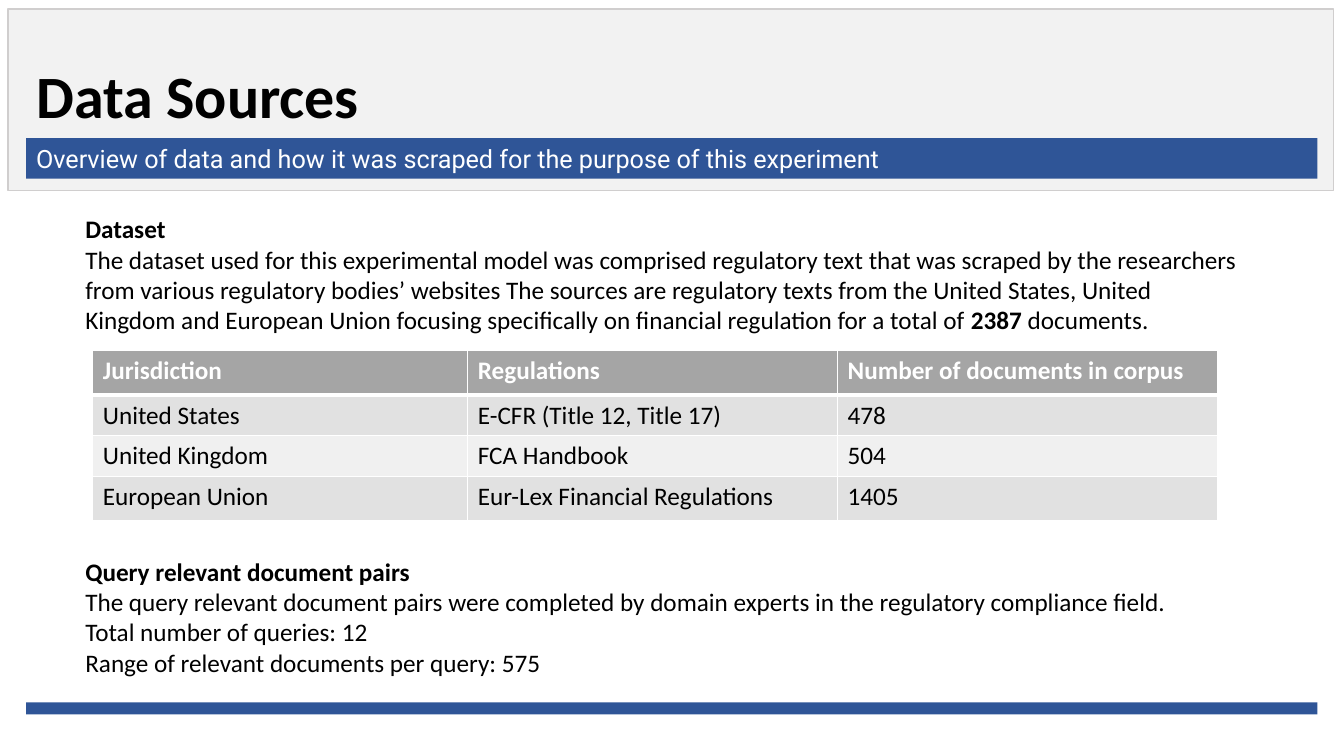
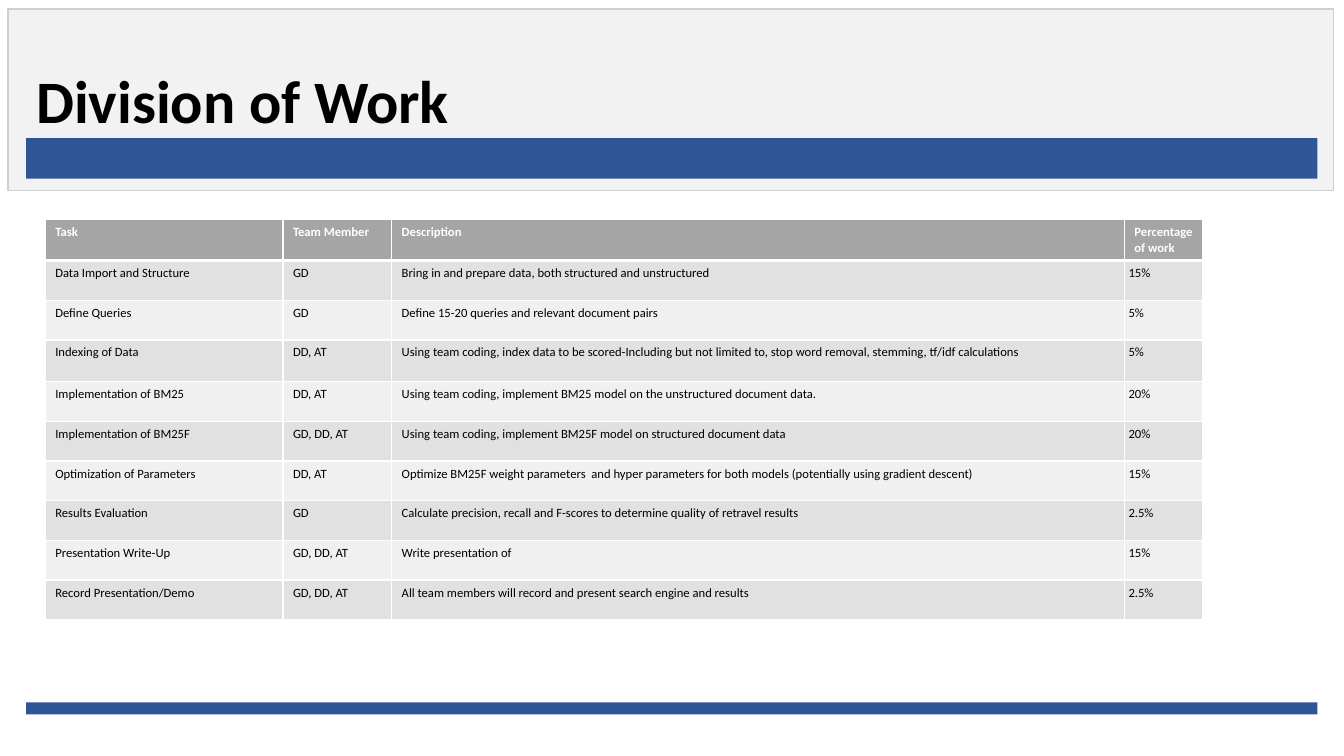
"""Build two slides on the data sources and the division of work."""
from typing import NamedTuple

from lxml.etree import SubElement
from pptx import Presentation
from pptx.dml.color import RGBColor
from pptx.enum.shapes import MSO_SHAPE
from pptx.enum.text import MSO_ANCHOR, MSO_AUTO_SIZE, PP_ALIGN
from pptx.oxml.ns import qn
from pptx.util import Cm, Pt

HUES = {
    "black": "000000",
    "white": "FFFFFF",
    "blue": "2F5597",
    "panel": "F2F2F2",
    "edge": "D0CECE",
    "head": "A5A5A5",
    "odd": "E1E1E1",
    "even": "F0F0F0",
}


class Box(NamedTuple):
    left: float
    top: float
    width: float
    height: float

    def cm(self) -> tuple:
        return tuple(Cm(side) for side in self)


class Style(NamedTuple):
    size: float
    hue: str = "black"
    bold: bool = False
    font: str = "Calibri"


class Head(NamedTuple):
    title: str
    size: float
    space: float
    note: str = ""


class Grid(NamedTuple):
    left: float
    top: float
    cols: list
    rows: list
    size: float
    cells: list
    tight: bool = False


PANEL = Box(0.2, 0.23, 33.4, 4.57)
FOOT = Box(0.66, 17.7, 32.54, 0.3)
BAND = Box(0.66, 3.48, 32.54, 1.02)
TITLE = Box(0.66, 1.47, 32.54, 2.06)

BODY = Style(18)
BOLD = Style(18, bold=True)
NOTE = Style(18, "white", font="Roboto")

DATA = Box(1.9, 5.26, 29.69, 3.33)
DATA_TEXT = [
    [("Dataset", BOLD)],
    [
        ("The dataset used for this experimental model was comprised regulatory text "
         "that was scraped by the researchers from various regulatory bodies’ websites "
         "The sources are regulatory texts from the United States, United Kingdom and "
         "European Union focusing specifically on financial regulation for a total of ", BODY),
        ("2387 ", BOLD),
        ("documents.", BODY),
    ],
]
PAIRS = Box(1.9, 13.89, 29.69, 3.33)
PAIRS_TEXT = [
    [("Query relevant document pairs", BOLD)],
    [("The query relevant document pairs were completed by domain experts "
      "in the regulatory compliance field.", BODY)],
    [("Total number of queries: 12", BODY)],
    [("Range of relevant documents per query: 575", BODY)],
]

SOURCES = Grid(
    2.34, 8.84, [9.45, 9.32, 9.58], [1.12, 1.02, 1.02, 1.12], 18,
    [
        ("Jurisdiction", "Regulations", "Number of documents in corpus"),
        ("United States", "E-CFR (Title 12, Title 17)", "478"),
        ("United Kingdom", "FCA Handbook", "504"),
        ("European Union", "Eur-Lex Financial Regulations", "1405"),
    ],
)
TASKS = Grid(
    1.14, 5.54, [5.99, 2.74, 18.47, 1.96], [1.0] * 3 + [1.05] + [1.0] * 6, 9,
    [
        ("Task", "Team Member", "Description", "Percentage of work"),
        ("Data Import and Structure", "GD",
         "Bring in and prepare data, both structured and unstructured", "15%"),
        ("Define Queries", "GD", "Define 15-20 queries and relevant document pairs", "5%"),
        ("Indexing of Data", "DD, AT",
         "Using team coding, index data to be scored-Including but not limited to, "
         "stop word removal, stemming, tf/idf calculations", "5%"),
        ("Implementation of BM25", "DD, AT",
         "Using team coding, implement BM25 model on the unstructured document data.", "20%"),
        ("Implementation of BM25F", "GD, DD, AT",
         "Using team coding, implement BM25F model on structured document data", "20%"),
        ("Optimization of Parameters", "DD, AT",
         "Optimize BM25F weight parameters  and hyper parameters for both models "
         "(potentially using gradient descent)", "15%"),
        ("Results Evaluation", "GD",
         "Calculate precision, recall and F-scores to determine quality of retravel results",
         "2.5%"),
        ("Presentation Write-Up", "GD, DD, AT", "Write presentation of", "15%"),
        ("Record Presentation/Demo", "GD, DD, AT",
         "All team members will record and present search engine and results", "2.5%"),
    ],
    tight=True,
)


def tint(name: str) -> RGBColor:
    return RGBColor.from_string(HUES[name])


def add_run(para, text: str, style: Style) -> None:
    run = para.add_run()
    run.text = text
    run.font.name = style.font
    run.font.size = Pt(style.size)
    run.font.bold = style.bold
    run.font.color.rgb = tint(style.hue)


def add_block(slide, box: Box, hue: str, edge: str = ""):
    shape = slide.shapes.add_shape(MSO_SHAPE.RECTANGLE, *box.cm())
    shape.shadow.inherit = False
    shape.fill.solid()
    shape.fill.fore_color.rgb = tint(hue)
    if edge:
        shape.line.color.rgb = tint(edge)
        shape.line.width = Pt(1)
    else:
        shape.line.fill.background()
    return shape


def add_slide(deck, head: Head):
    slide = deck.slides.add_slide(deck.slide_layouts.get_by_name("Title Only"))
    add_block(slide, PANEL, "panel", "edge")
    add_block(slide, FOOT, "blue")
    band = add_block(slide, BAND, "blue")
    if head.note:
        frame = band.text_frame
        frame.vertical_anchor = MSO_ANCHOR.MIDDLE
        frame.paragraphs[0].alignment = PP_ALIGN.LEFT
        add_run(frame.paragraphs[0], head.note, NOTE)
    title = slide.shapes.title
    slide.shapes.element.append(title.element)
    title.left, title.top, title.width, title.height = TITLE.cm()
    frame = title.text_frame
    frame.auto_size = MSO_AUTO_SIZE.NONE
    frame.vertical_anchor = MSO_ANCHOR.MIDDLE
    para = frame.paragraphs[0]
    para.alignment = PP_ALIGN.LEFT
    para.line_spacing = head.space
    add_run(para, head.title, Style(head.size, bold=True))
    return slide


def add_text(slide, box: Box, paras: list) -> None:
    frame = slide.shapes.add_textbox(*box.cm()).text_frame
    frame.word_wrap = True
    for at, runs in enumerate(paras):
        para = frame.add_paragraph() if at else frame.paragraphs[0]
        for text, style in runs:
            add_run(para, text, style)


def add_edges(cell, row: int) -> None:
    props = cell._tc.get_or_add_tcPr()
    thick = {"lnT": 3 if row == 1 else 1, "lnB": 3 if row == 0 else 1}
    for side in ("lnL", "lnR", "lnT", "lnB"):
        line = SubElement(props, qn(f"a:{side}"), w=str(Pt(thick.get(side, 1))))
        fill = SubElement(line, qn("a:solidFill"))
        SubElement(fill, qn("a:srgbClr"), val=HUES["white"])


def add_grid(slide, grid: Grid) -> None:
    box = Box(grid.left, grid.top, sum(grid.cols), sum(grid.rows))
    table = slide.shapes.add_table(len(grid.rows), len(grid.cols), *box.cm()).table
    table.horz_banding = False
    for col, width in zip(table.columns, grid.cols):
        col.width = Cm(width)
    for line, height in zip(table.rows, grid.rows):
        line.height = Cm(height)
    last = len(grid.cols) - 1
    for row, texts in enumerate(grid.cells):
        hue = "head" if row == 0 else "odd" if row % 2 else "even"
        style = Style(grid.size, "black" if row else "white", bold=row == 0)
        for col, text in enumerate(texts):
            cell = table.cell(row, col)
            add_edges(cell, row)
            cell.fill.solid()
            cell.fill.fore_color.rgb = tint(hue)
            if grid.tight and col == last:
                cell.margin_left = Cm(0.1 if row else 0.25)
                cell.margin_right = Cm(0.1 if row else 0)
            add_run(cell.text_frame.paragraphs[0], text, style)


def main() -> None:
    deck = Presentation()
    deck.slide_width, deck.slide_height = Cm(33.87), Cm(19.05)
    slide = add_slide(deck, Head(
        "Data Sources", 42.9, 0.9,
        "Overview of data and how it was scraped for the purpose of this experiment"))
    add_text(slide, PAIRS, PAIRS_TEXT)
    add_grid(slide, SOURCES)
    add_text(slide, DATA, DATA_TEXT)
    slide = add_slide(deck, Head("Division of Work", 43, 1.0))
    add_grid(slide, TASKS)
    deck.save("out.pptx")


if __name__ == "__main__":
    main()
